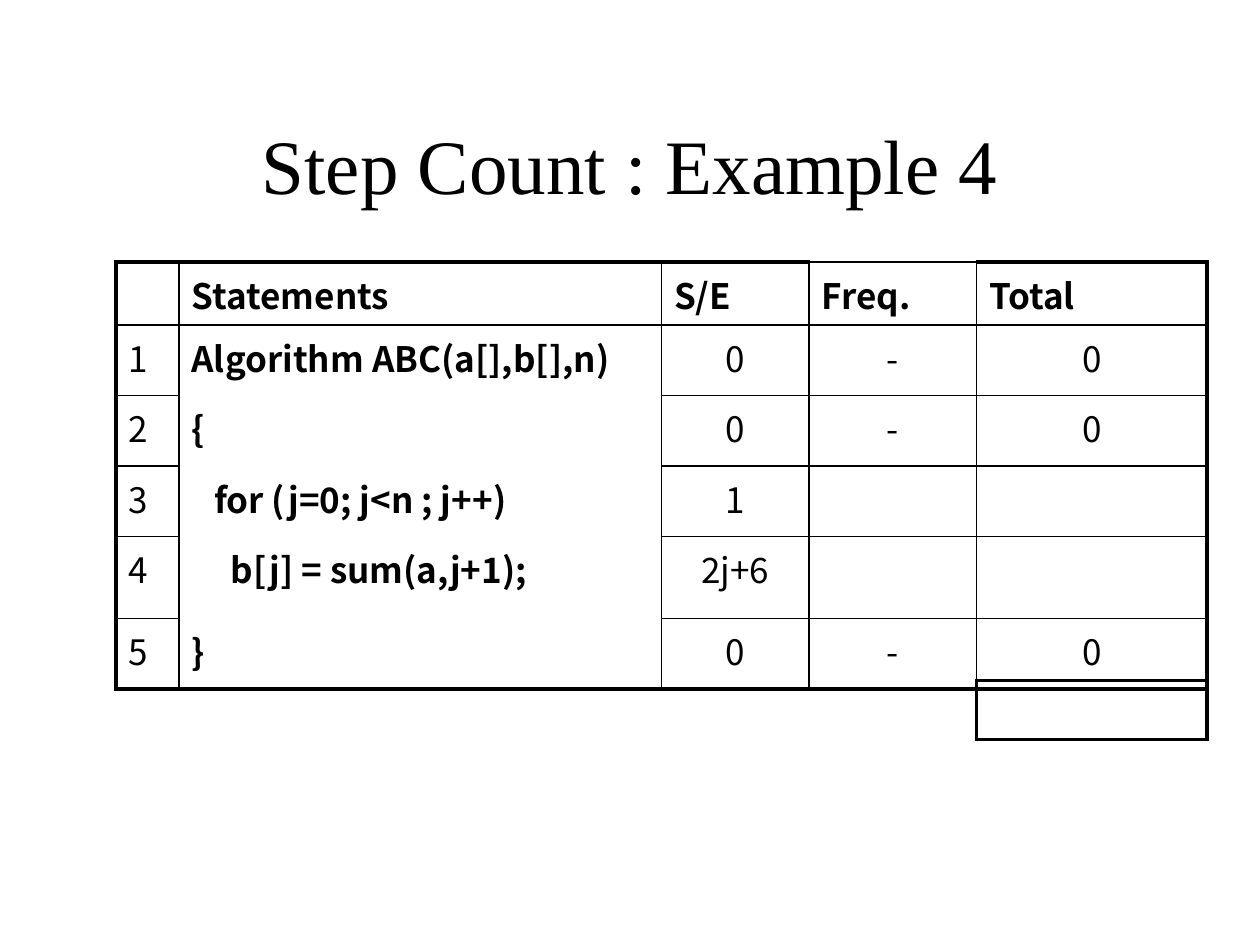
from lxml import etree
from pptx import Presentation
from pptx import util as u
from pptx.dml.color import RGBColor
from pptx.enum import text
from pptx.oxml.ns import qn

HUE = {"ink": "000000"}
WIDE, HIGH = 10, 7.5
THICK, THIN = 2.25, 1
HEAD = {"name": "Times New Roman", "size": u.Pt(44), "bold": False}
BODY = {"name": "Noto Sans CJK SC", "size": u.Pt(20), "bold": False}
BOLD = {**BODY, "bold": True}

COLS = [0.5, 3.83, 1.17, 1.33, 1.83]
ROWS = [0.5, 0.56, 0.56, 0.56, 0.65, 0.56]
LEFT, TOP = 0.92, 2.08
CODE, FREQ = 1, 3  # columns with their own border rules
STEPS = [
    ["", "Statements", "S/E", "Freq.", "Total"],
    ["1", "Algorithm ABC(a[],b[],n)", "0", "-", "0"],
    ["2", "{", "0", "-", "0"],
    ["3", "for (j=0; j<n ; j++)", "1", "", ""],
    ["4", "b[j] = sum(a,j+1);", "2j+6", "", ""],
    ["5", "}", "0", "-", "0"],
]
INDENT = {3: 0.18, 4: 0.31}  # code indent by row, inches


def write(para, words, form, align):
    para.alignment = align
    run = para.add_run()
    run.text = words
    for key, val in form.items():
        setattr(run.font, key, val)
    run.font.color.rgb = RGBColor.from_string(HUE["ink"])


def add_title(slide, words):
    box = slide.shapes.add_textbox(
        *(u.Inches(n) for n in (0.075 * WIDE, 0.09 * HIGH, 0.85 * WIDE, HIGH / 6)))
    frame = box.text_frame
    frame.word_wrap = True
    frame.vertical_anchor = text.MSO_ANCHOR.MIDDLE
    write(frame.paragraphs[0], words, HEAD, text.PP_ALIGN.CENTER)


def add_grid(slide, left, top, cols, rows):
    size = (left, top, sum(cols), sum(rows))
    grid = slide.shapes.add_table(
        len(rows), len(cols), *(u.Inches(n) for n in size)).table
    grid.first_row = grid.horz_banding = False
    for col, width in zip(grid.columns, cols):
        col.width = u.Inches(width)
    for row, height in zip(grid.rows, rows):
        row.height = u.Inches(height)
    return grid


def edge(cell, sides):
    """Draw the left, right, top and bottom borders; 0 means no line."""
    prop = cell._tc.get_or_add_tcPr()
    for side, width in zip("LRTB", sides):
        line = etree.SubElement(prop, qn(f"a:ln{side}"), w=str(u.Pt(width)))
        if width:
            fill = etree.SubElement(line, qn("a:solidFill"))
            etree.SubElement(fill, qn("a:srgbClr"), val=HUE["ink"])
        else:
            etree.SubElement(line, qn("a:noFill"))
    cell.fill.background()


def sides(row, col):
    """Thick frame, thin inner lines, none between code lines."""
    last = len(ROWS) - 1
    flat = 0 if col == CODE else THIN
    top = THICK if row == 0 and col != FREQ else THIN if row < 2 else flat
    low = THICK if row == last else THIN if row == 0 else flat
    return (THICK if col == 0 else THIN,
            THICK if col == len(COLS) - 1 else THIN, top, low)


def fill_cell(cell, words, row, col):
    para = cell.text_frame.paragraphs[0]
    mid = row > 0 and col > CODE
    form = BOLD if row == 0 or col == CODE else BODY
    if words:
        write(para, words, form,
              text.PP_ALIGN.CENTER if mid else text.PP_ALIGN.LEFT)
        prop = para._p.get_or_add_pPr()
        if col == CODE and row in INDENT:
            prop.set("marL", str(u.Inches(INDENT[row])))
        space = etree.SubElement(prop, qn("a:spcBef"))
        etree.SubElement(space, qn("a:spcPct"), val="20000")
    edge(cell, sides(row, col))


def main():
    deck = Presentation()
    deck.slide_width, deck.slide_height = u.Inches(WIDE), u.Inches(HIGH)
    slide = deck.slides.add_slide(deck.slide_layouts[6])

    add_title(slide, "Step Count : Example 4")

    # Step table
    grid = add_grid(slide, LEFT, TOP, COLS, ROWS)
    for row, line in enumerate(STEPS):
        for col, words in enumerate(line):
            fill_cell(grid.cell(row, col), words, row, col)

    # Empty box for the sum, under the last column
    total = add_grid(slide, LEFT + sum(COLS[:-1]), 5.4, COLS[-1:], [0.47])
    edge(total.cell(0, 0), [THICK] * 4)

    deck.save("out.pptx")


if __name__ == "__main__":
    main()
